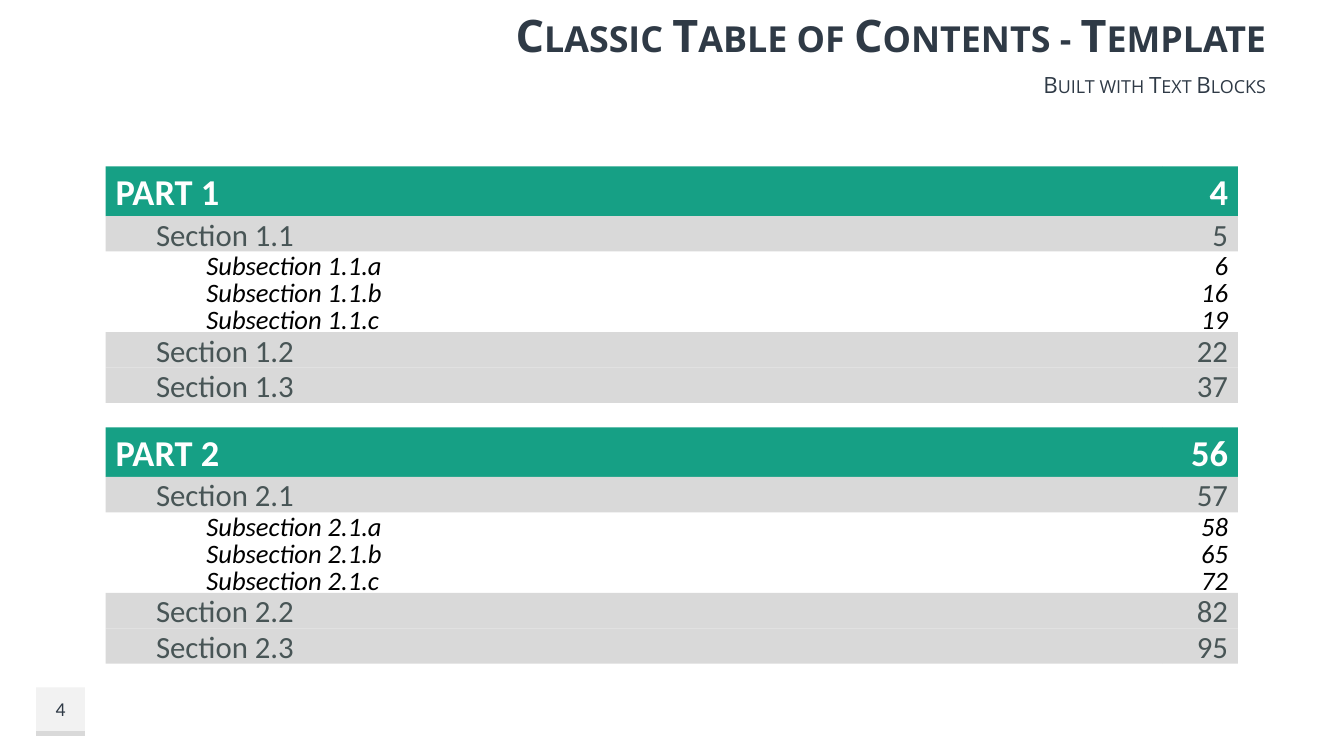
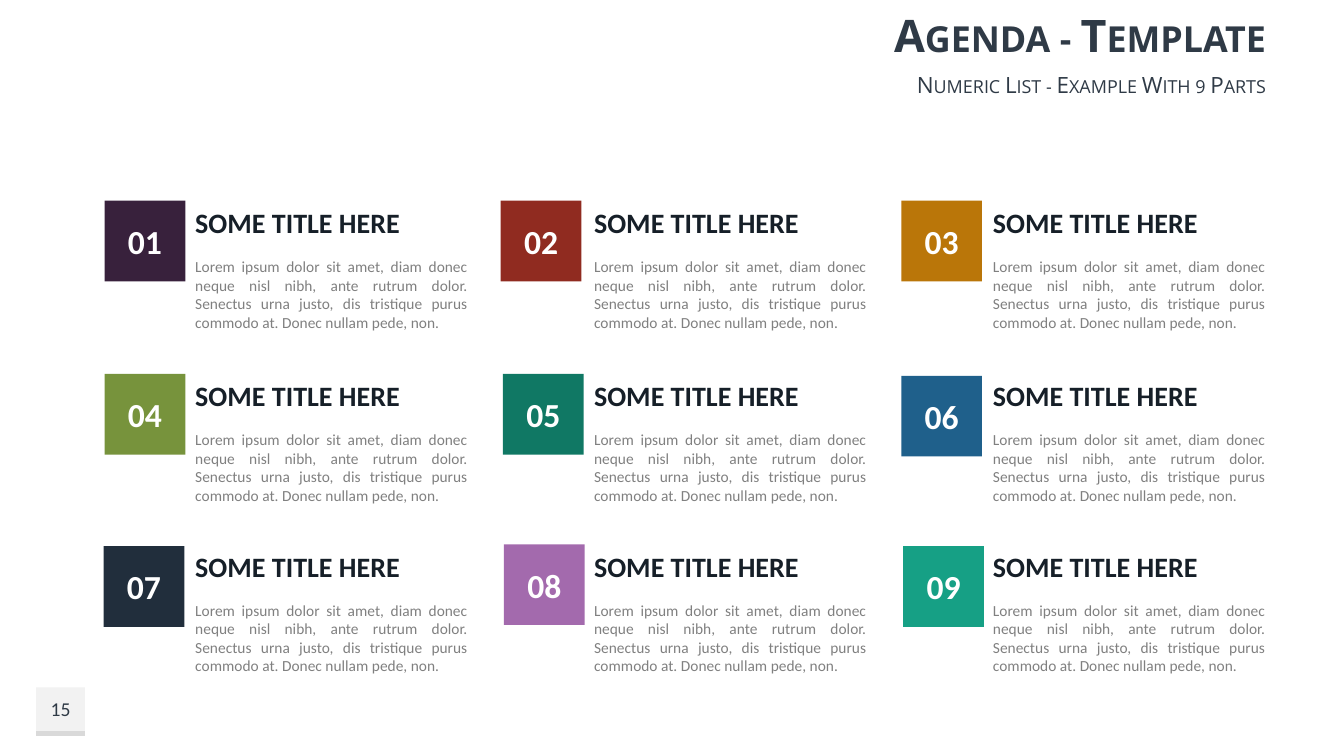
import pptx
import pptx.util
import pptx.dml.color
import pptx.enum.shapes
import pptx.enum.text

Pt = pptx.util.Pt
ALIGN = pptx.enum.text.PP_ALIGN
ANCHOR = pptx.enum.text.MSO_ANCHOR
RECT = pptx.enum.shapes.MSO_SHAPE.RECTANGLE

HUES = {
    "ink": "2F3A46", "tile": "F2F2F2", "band": "D9D9D9", "teal": "16A085",
    "white": "FFFFFF", "slate": "485556", "black": "000000",
    "dark": "161F28", "gray": "808080", "plum": "38213C", "brick": "902B20",
    "amber": "BA7609", "olive": "77933C", "pine": "107864",
    "blue": "1F608B", "navy": "212E3C", "mauve": "A36AAD",
}
HEAD_FONT, BODY_FONT = "Open Sans", "Calibri"

# Contents levels: row height, left inset, fill, text style
LEVELS = {
    "part": (35.4, 7.2, "teal", dict(size=26, hue="white", bold=True)),
    "sec": (25.3, 36, "band", dict(size=22, hue="slate")),
    "sub": (19.2, 72, None, dict(size=19, hue="black", italic=True)),
}
PARTS = [
    [("part", "PART 1", 4), ("sec", "Section 1.1", 5),
     ("sub", "Subsection 1.1.a", 6), ("sub", "Subsection 1.1.b", 16),
     ("sub", "Subsection 1.1.c", 19), ("sec", "Section 1.2", 22),
     ("sec", "Section 1.3", 37)],
    [("part", "PART 2", 56), ("sec", "Section 2.1", 57),
     ("sub", "Subsection 2.1.a", 58), ("sub", "Subsection 2.1.b", 65),
     ("sub", "Subsection 2.1.c", 72), ("sec", "Section 2.2", 82),
     ("sec", "Section 2.3", 95)],
]

# Agenda tiles: colour and small offset from the grid
TILES = [
    ("plum", 0, 0), ("brick", -2, 0), ("amber", -0.8, 0),
    ("olive", 0, 0), ("pine", -0.4, 0), ("blue", -0.8, 1.4),
    ("navy", -0.7, 1.4), ("mauve", 0.3, 0), ("teal", 0.6, 1.4),
]
LOREM = ("Lorem ipsum dolor sit amet, diam donec neque nisl nibh, ante rutrum "
         "dolor. Senectus urna justo, dis tristique purus commodo at. "
         "Donec nullam pede, non.")


def color(hue):
    return pptx.dml.color.RGBColor.from_string(HUES[hue])


def write(shape, text, size, hue, align=ALIGN.LEFT, anchor=ANCHOR.MIDDLE,
          bold=False, italic=False, font=BODY_FONT, caps=False, inset=7.2):
    frame = shape.text_frame
    frame.word_wrap = True
    frame.auto_size = pptx.enum.text.MSO_AUTO_SIZE.NONE
    frame.vertical_anchor = anchor
    frame.margin_left, frame.margin_right = Pt(inset), Pt(7.2)
    frame.margin_top = frame.margin_bottom = Pt(3.6)
    para = frame.paragraphs[0]
    para.alignment = align
    run = para.add_run()
    run.text = text
    run.font.name, run.font.size = font, Pt(size)
    run.font.bold, run.font.italic = bold, italic
    run.font.color.rgb = color(hue)
    if caps:
        run.font.language_id = pptx.enum.lang.MSO_LANGUAGE_ID.ENGLISH_US
        run._r.get_or_add_rPr().set("cap", "small")


def block(slide, box, fill=None):
    """Add a filled rectangle, or a text box when there is no fill."""
    spot = [Pt(n) for n in box]
    if fill is None:
        return slide.shapes.add_textbox(*spot)
    shape = slide.shapes.add_shape(RECT, *spot)
    shape.shadow.inherit = False
    shape.fill.solid()
    shape.fill.fore_color.rgb = color(fill)
    shape.line.fill.background()
    return shape


def start(deck, title, note, page):
    """Add a slide with its title, subtitle and page tile."""
    slide = deck.slides.add_slide(deck.slide_layouts[5])
    left, wide = 306, 605.5
    head = slide.shapes.title
    head.left, head.top, head.width, head.height = (
        Pt(left), Pt(0), Pt(wide), Pt(49))
    style = dict(hue="ink", align=ALIGN.RIGHT, font=HEAD_FONT, caps=True)
    write(head, title, 32, bold=True, **style)
    write(block(slide, (left, 49, wide, 22.3)), note, 16, **style)
    # Page tile with its lower edge
    write(block(slide, (25.9, 491, 34.8, 31), "tile"), str(page), 14, "ink",
          ALIGN.CENTER)
    block(slide, (25.9, 522, 34.8, 3.6), "band")
    return slide


def chapter(slide, rows, left, top, wide, side):
    """Stack the rows of one part; return where they end."""
    for level, name, page in rows:
        high, inset, fill, style = LEVELS[level]
        write(block(slide, (left, top, wide - side, high), fill), name,
              inset=inset, **style)
        write(block(slide, (left + wide - side, top, side, high), fill),
              str(page), align=ALIGN.RIGHT, **style)
        top += high
    return top


def contents(slide, left, top, wide):
    for rows in PARTS:
        top = chapter(slide, rows, left, top, wide, 54.2) + 17.4


def entry(slide, num, tile, left, top):
    """Place a numbered tile with heading and body to its right."""
    hue, dx, dy = tile
    size = 57.6
    write(block(slide, (left + dx, top + dy, size, size), hue), f"{num:02}",
          24, "white", ALIGN.CENTER, bold=True)
    side = left + size
    write(block(slide, (side, top, 208.8, 31.7)), "SOME TITLE HERE", 20,
          "dark", anchor=ANCHOR.TOP, bold=True)
    write(block(slide, (side, top + 36.8, 208.8, 60.5)), LOREM, 11, "gray",
          ALIGN.JUSTIFY, ANCHOR.TOP)


def agenda(slide, left, tops, step):
    for i, tile in enumerate(TILES):
        row, col = divmod(i, 3)
        entry(slide, i + 1, tile, left + col * step, tops[row])


def main():
    deck = pptx.Presentation()
    deck.slide_width, deck.slide_height = Pt(960), Pt(540)
    contents(start(deck, "Classic Table of Contents - Template",
                   "Built with Text Blocks", 4), 75.5, 118.9, 808.8)
    agenda(start(deck, "Agenda - Template",
                 "Numeric List - Example With 9 Parts", 15),
           74.8, (143.4, 267.1, 388.8), 284.9)
    deck.save("out.pptx")


if __name__ == "__main__":
    import pptx.enum.lang
    main()
